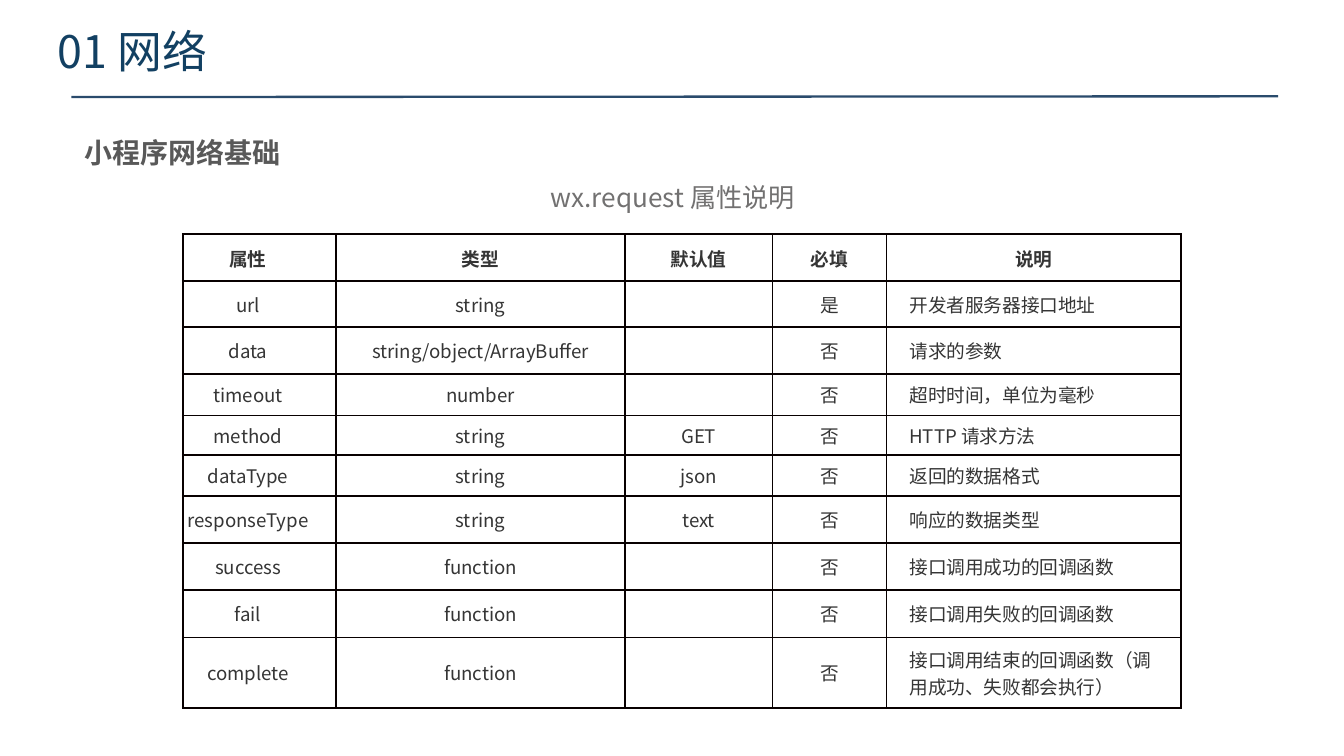
from lxml.etree import SubElement
from pptx import Presentation
from pptx.dml.color import RGBColor
from pptx.enum.shapes import MSO_CONNECTOR
from pptx.enum.text import MSO_ANCHOR as Anchor, PP_ALIGN as Align
from pptx.oxml.ns import qn
from pptx.util import Pt

FONT = "Noto Sans CJK SC"
RULE = {"start": (38.2, 52), "end": (684.7, 51.6), "color": "2A4B6C", "width": 1.25}
BORDER = {"color": "080000", "width": 1}

# text, (left, top, width, height), (side inset, top inset), anchor, format
HEADINGS = [
    ("01 网络", (23.8, 10.8, 620.6, 33.1), (7.2, 3.6), Anchor.MIDDLE,
     {"size": 24, "color": "124062"}),
    ("小程序网络基础", (40.3, 69.8, 189.4, 23.8), (5.04, 2.88), Anchor.TOP,
     {"size": 15, "color": "595959", "bold": True}),
    ("wx.request 属性说明", (288, 93.6, 154.1, 24.5), (7.2, 3.6), Anchor.TOP,
     {"size": 14, "color": "727171"}),
]

ATTRIBUTES = [
    ("属性", "类型", "默认值", "必填", "说明"),
    ("url", "string", "", "是", "开发者服务器接口地址"),
    ("data", "string/object/ArrayBuffer", "", "否", "请求的参数"),
    ("timeout", "number", "", "否", "超时时间，单位为毫秒"),
    ("method", "string", "GET", "否", "HTTP 请求方法"),
    ("dataType", "string", "json", "否", "返回的数据格式"),
    ("responseType", "string", "text", "否", "响应的数据类型"),
    ("success", "function", "", "否", "接口调用成功的回调函数"),
    ("fail", "function", "", "否", "接口调用失败的回调函数"),
    ("complete", "function", "", "否", "接口调用结束的回调函数（调用成功、失败都会执行）"),
]
TABLE_LEFT, TABLE_TOP = 97.9, 125.5
COLUMN_WIDTHS = [82.1, 154.8, 79, 61.2, 157.8]
ROW_HEIGHTS = [25.2, 24.6, 25.2, 22.1, 21.2, 22.1, 25.2, 25.2, 25.4, 37.8]
CELL_SIZE, CELL_COLOR, CELL_INSET = 10, "353535", 12.24


def rgb(color):
    return RGBColor.from_string(color)


def write(paragraph, text, size, color, bold=False):
    run = paragraph.add_run()
    run.text = text
    run.font.color.rgb = rgb(color)
    for name, value in {"name": FONT, "size": Pt(size), "bold": bold}.items():
        setattr(run.font, name, value)
    # East Asian characters take their font from a separate element
    SubElement(run.font._element, qn("a:ea"), typeface=FONT)


def set_insets(target, left, top, right, bottom):
    insets = {"left": left, "top": top, "right": right, "bottom": bottom}
    for side, inset in insets.items():
        setattr(target, f"margin_{side}", Pt(inset))


def add_borders(cell):
    properties = cell._tc.get_or_add_tcPr()
    for edge in ("lnL", "lnR", "lnT", "lnB"):
        line = SubElement(properties, qn(f"a:{edge}"), w=str(Pt(BORDER["width"])))
        fill = SubElement(line, qn("a:solidFill"))
        SubElement(fill, qn("a:srgbClr"), val=BORDER["color"])


def add_heading(slide, text, box, insets, anchor, style):
    frame = slide.shapes.add_textbox(*map(Pt, box)).text_frame
    frame.word_wrap = True
    frame.vertical_anchor = anchor
    set_insets(frame, *insets, *insets)
    write(frame.paragraphs[0], text, **style)


def add_rule(slide):
    rule = slide.shapes.add_connector(
        MSO_CONNECTOR.STRAIGHT, *map(Pt, RULE["start"] + RULE["end"]))
    rule.line.color.rgb = rgb(RULE["color"])
    rule.line.width = Pt(RULE["width"])
    SubElement(rule._element.spPr, qn("a:effectLst"))


def fill_cell(cell, text, row, column):
    is_header = row == 0
    is_description = column == len(COLUMN_WIDTHS) - 1 and not is_header
    left = CELL_INSET if column else 0
    vertical = 5.76 if is_header else 0
    set_insets(cell, left, vertical, CELL_INSET, vertical)
    cell.vertical_anchor = Anchor.MIDDLE
    add_borders(cell)
    cell.fill.background()
    paragraph = cell.text_frame.paragraphs[0]
    paragraph.alignment = Align.LEFT if is_description else Align.CENTER
    if text:
        write(paragraph, text, CELL_SIZE, CELL_COLOR, is_header)
    else:
        # Keeps an empty cell from stretching its row
        SubElement(paragraph._p, qn("a:endParaRPr"), sz=str(CELL_SIZE * 100))


def add_attribute_table(slide):
    table = slide.shapes.add_table(
        len(ROW_HEIGHTS), len(COLUMN_WIDTHS), Pt(TABLE_LEFT), Pt(TABLE_TOP),
        Pt(sum(COLUMN_WIDTHS)), Pt(sum(ROW_HEIGHTS))).table
    table.first_row = table.horz_banding = False
    for column, width in zip(table.columns, COLUMN_WIDTHS):
        column.width = Pt(width)
    for row, height in zip(table.rows, ROW_HEIGHTS):
        row.height = Pt(height)
    for row, texts in enumerate(ATTRIBUTES):
        for column, text in enumerate(texts):
            fill_cell(table.cell(row, column), text, row, column)


def main():
    deck = Presentation()
    deck.slide_width, deck.slide_height = Pt(720), Pt(405)
    slide = deck.slides.add_slide(deck.slide_layouts[6])
    add_rule(slide)
    for heading in HEADINGS:
        add_heading(slide, *heading)
    add_attribute_table(slide)
    deck.save("out.pptx")


if __name__ == "__main__":
    main()
